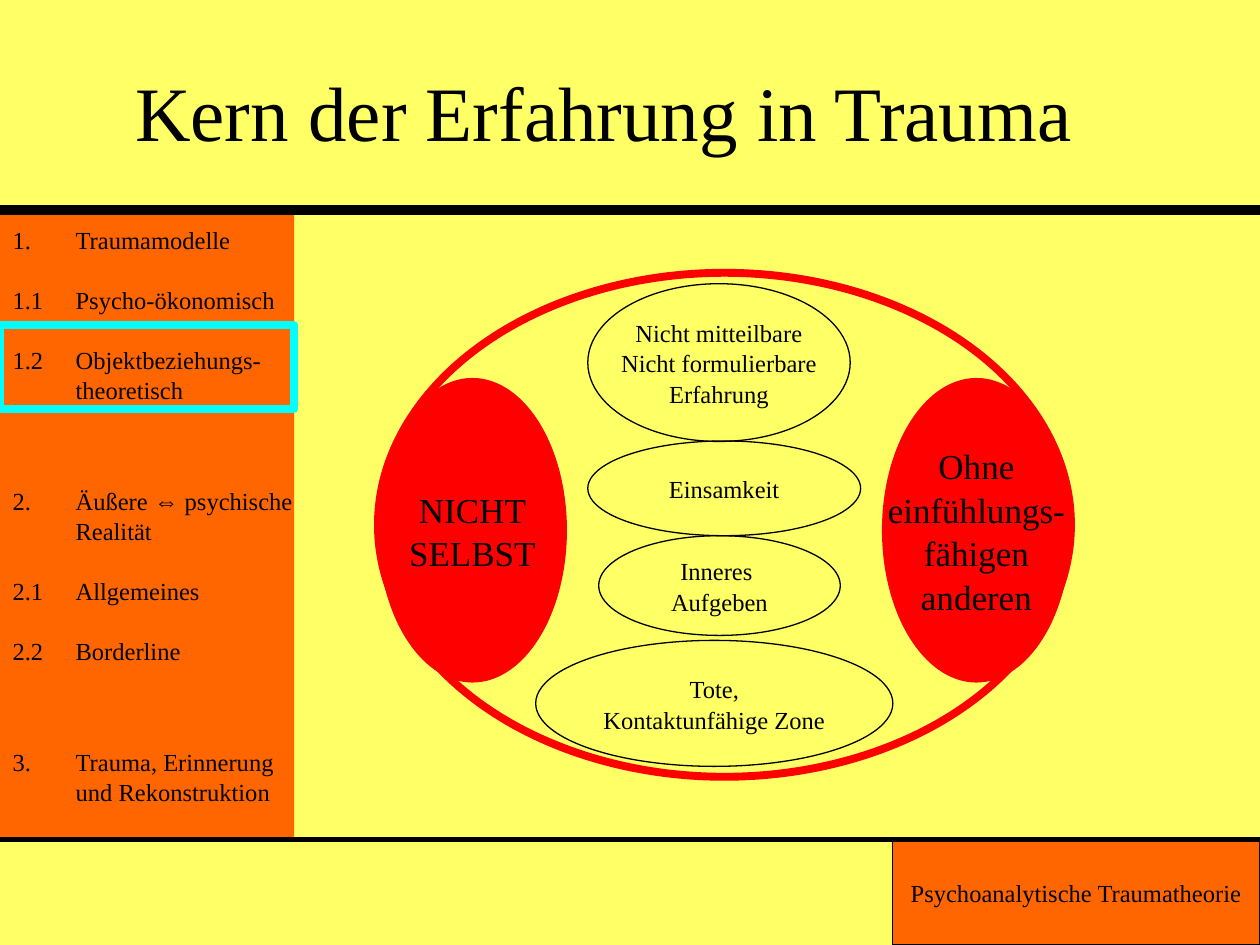
from dataclasses import dataclass

from lxml.etree import SubElement
from pptx import Presentation
from pptx.dml.color import RGBColor
from pptx.enum.shapes import MSO_CONNECTOR, MSO_SHAPE
from pptx.enum.text import MSO_ANCHOR, MSO_AUTO_SIZE, PP_ALIGN
from pptx.oxml.ns import qn
from pptx.util import Cm, Pt


@dataclass(frozen=True)
class Theme:
    paper: RGBColor = RGBColor(0xFF, 0xFF, 0x66)
    ink: RGBColor = RGBColor(0, 0, 0)
    panel: RGBColor = RGBColor(0xFF, 0x66, 0)
    alarm: RGBColor = RGBColor(0xFF, 0, 0)
    marker: RGBColor = RGBColor(0, 0xFF, 0xFF)
    font: str = "Times New Roman"
    symbol_font: str = "Arial"
    title_size: int = 44
    large_size: int = 20
    text_size: int = 14
    line_spacing: float = 1.04


THEME = Theme()
SLIDE_WIDTH, SLIDE_HEIGHT = 25.4, 19.05
HEADER_Y, FOOTER_Y = 4.23, 16.93
SIDEBAR_WIDTH = 5.93
ITEM_GAP, CHAPTER_GAP = 16.8, 45.6
ARROW = "⇔"

# Number, wording, space before in points
OUTLINE = [
    ("", "Traumamodelle", 0),
    ("1.1", "Psycho-ökonomisch", ITEM_GAP),
    ("1.2", "Objektbeziehungs-\ntheoretisch", ITEM_GAP),
    ("2.", "Äußere ⇔ psychische\nRealität", CHAPTER_GAP),
    ("2.1", "Allgemeines", ITEM_GAP),
    ("2.2", "Borderline", ITEM_GAP),
    ("3.", "Trauma, Erinnerung\nund Rekonstruktion", CHAPTER_GAP),
]

EXPERIENCES = [
    ("Nicht mitteilbare\nNicht formulierbare\nErfahrung", (11.85, 5.72, 5.29, 3.18)),
    ("Einsamkeit", (11.85, 8.89, 5.5, 1.91)),
    ("Inneres \nAufgeben", (12.07, 10.8, 4.87, 2.01)),
    ("Tote,\nKontaktunfähige Zone", (10.8, 12.91, 7.2, 2.54)),
]

POLES = [
    ("NICHT\nSELBST", 7.62),
    ("Ohne\neinfühlungs-\nfähigen\nanderen", 17.78),
]


def apply_format(target, values):
    for name, value in values.items():
        setattr(target, name, value)


def place(shape, box):
    sides = ("left", "top", "width", "height")
    apply_format(shape, {side: Cm(length) for side, length in zip(sides, box)})


def add_text(paragraph, wording, size):
    """Add the lines of one paragraph, with arrows in the symbol font."""
    for index, line in enumerate(wording.split("\n")):
        if index:
            paragraph.add_line_break()
        for part in filter(None, line.partition(ARROW)):
            run = paragraph.add_run()
            run.text = part
            font = THEME.symbol_font if part == ARROW else THEME.font
            apply_format(run.font, {"name": font, "size": Pt(size)})
            run.font.color.rgb = THEME.ink


def add_figure(slide, kind, box, fill=None, line=None, width=0.75,
               wording="", size=THEME.text_size):
    figure = slide.shapes.add_shape(kind, *map(Cm, box))
    figure.shadow.inherit = False
    if fill is None:
        figure.fill.background()
    else:
        figure.fill.solid()
        figure.fill.fore_color.rgb = fill
    if line is None:
        figure.line.fill.background()
    else:
        figure.line.color.rgb = line
        figure.line.width = Pt(width)
    if wording:
        frame = figure.text_frame
        apply_format(frame, {"word_wrap": False, "vertical_anchor": MSO_ANCHOR.MIDDLE})
        for index, line_text in enumerate(wording.split("\n")):
            paragraph = frame.add_paragraph() if index else frame.paragraphs[0]
            apply_format(paragraph, {"alignment": PP_ALIGN.CENTER,
                                     "line_spacing": THEME.line_spacing})
            add_text(paragraph, line_text, size)


def add_rule(slide, y, width):
    rule = slide.shapes.add_connector(
        MSO_CONNECTOR.STRAIGHT, 0, Cm(y), Cm(SLIDE_WIDTH), Cm(y))
    rule.line.color.rgb = THEME.ink
    rule.line.width = Pt(width)
    SubElement(rule._element.spPr, qn("a:effectLst"))


def fill_title(title, wording):
    place(title, (1.06, 0.64, 22.23, 3.18))
    apply_format(title.text_frame, {"vertical_anchor": MSO_ANCHOR.MIDDLE,
                                    "auto_size": MSO_AUTO_SIZE.NONE})
    paragraph = title.text_frame.paragraphs[0]
    paragraph.alignment = PP_ALIGN.CENTER
    add_text(paragraph, wording, THEME.title_size)


def set_hanging_number(paragraph, automatic):
    """Hang the number in the margin; it is typed unless automatic."""
    properties = paragraph._p.get_or_add_pPr()
    properties.set("marL", str(Cm(1.27)))
    properties.set("indent", str(-Cm(1.27)))
    if automatic:
        SubElement(properties, qn("a:buFont"), typeface=THEME.font)
        SubElement(properties, qn("a:buAutoNum"), type="arabicPeriod")
    else:
        SubElement(properties, qn("a:buNone"))


def fill_outline(outline):
    place(outline, (0, HEADER_Y, SIDEBAR_WIDTH, FOOTER_Y - HEADER_Y))
    outline.fill.solid()
    outline.fill.fore_color.rgb = THEME.panel
    frame = outline.text_frame
    apply_format(frame, {"word_wrap": True, "auto_size": MSO_AUTO_SIZE.NONE,
                         "vertical_anchor": MSO_ANCHOR.TOP,
                         "margin_top": Cm(0.28), "margin_right": 0})
    for index, (number, wording, gap) in enumerate(OUTLINE):
        paragraph = frame.add_paragraph() if index else frame.paragraphs[0]
        apply_format(paragraph, {"alignment": PP_ALIGN.LEFT,
                                 "line_spacing": THEME.line_spacing,
                                 "space_before": Pt(gap), "space_after": Pt(0)})
        set_hanging_number(paragraph, automatic=not number)
        label = f"{number}\t" if number else ""
        add_text(paragraph, label + wording, THEME.text_size)


def main():
    deck = Presentation()
    apply_format(deck, {"slide_width": Cm(SLIDE_WIDTH), "slide_height": Cm(SLIDE_HEIGHT)})
    slide = deck.slides.add_slide(deck.slide_layouts[1])
    slide.background.fill.solid()
    slide.background.fill.fore_color.rgb = THEME.paper

    fill_title(slide.shapes.title, "Kern der Erfahrung in Trauma")
    fill_outline(slide.placeholders[1])
    add_figure(slide, MSO_SHAPE.RECTANGLE, (17.99, FOOTER_Y, 7.41, 2.12),
               fill=THEME.panel, line=THEME.ink,
               wording="Psychoanalytische Traumatheorie")
    add_rule(slide, FOOTER_Y, 3)
    add_rule(slide, HEADER_Y, 6)
    add_figure(slide, MSO_SHAPE.RECTANGLE, (0, 6.56, SIDEBAR_WIDTH, 1.69),
               line=THEME.marker, width=4.5)

    add_figure(slide, MSO_SHAPE.OVAL, (7.62, 5.5, 13.97, 10.16),
               line=THEME.alarm, width=4.5)
    for wording, box in EXPERIENCES:
        add_figure(slide, MSO_SHAPE.OVAL, box, line=THEME.ink, wording=wording)
    for wording, left in POLES:
        add_figure(slide, MSO_SHAPE.OVAL, (left, 7.62, 3.81, 6.14),
                   fill=THEME.alarm, wording=wording, size=THEME.large_size)
    deck.save("out.pptx")


if __name__ == "__main__":
    main()
